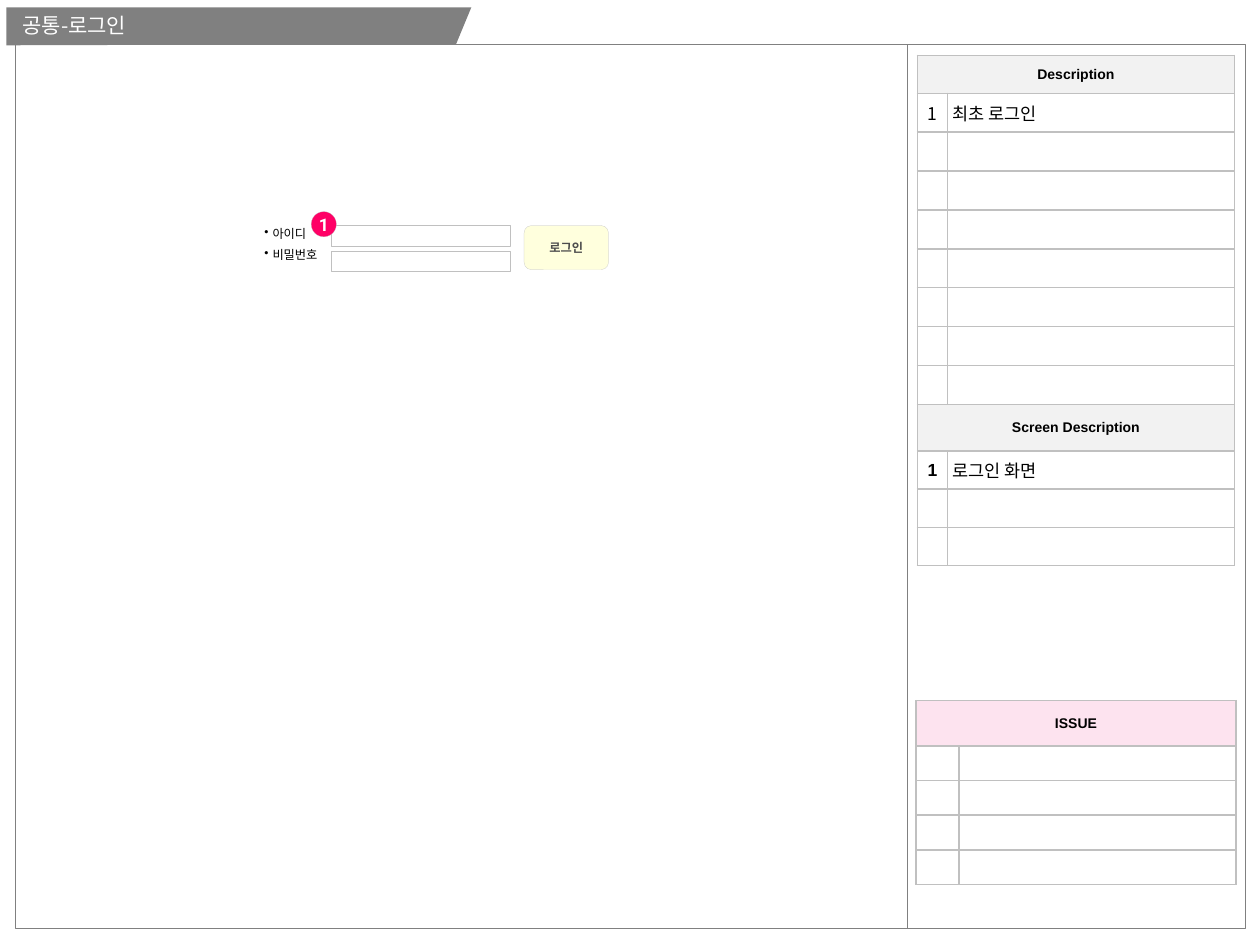
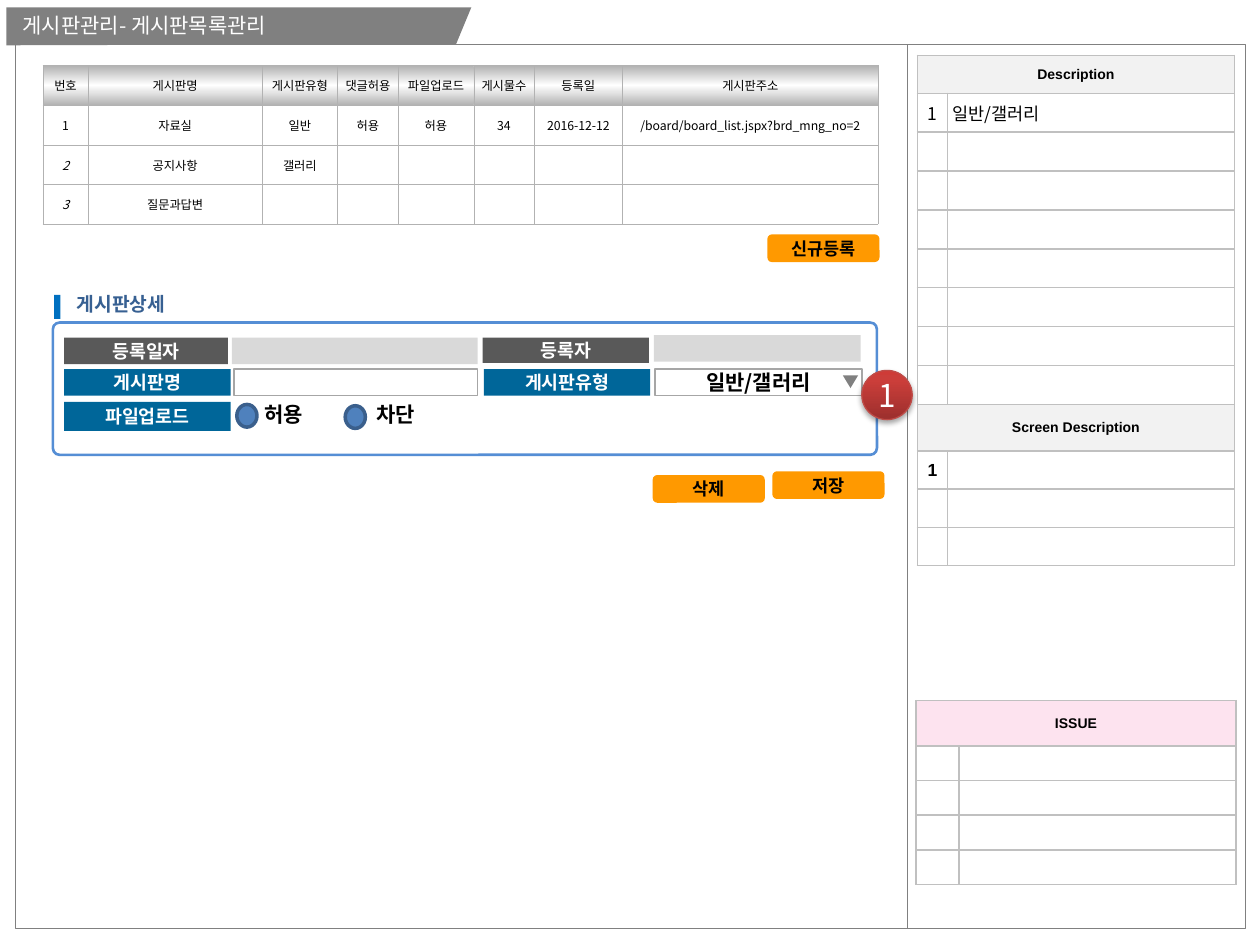
from lxml.etree import SubElement
from pptx import Presentation
from pptx.dml.color import RGBColor
from pptx.enum.shapes import MSO_CONNECTOR as LINK, MSO_SHAPE as SHAPE
from pptx.enum.text import MSO_ANCHOR as ANCHOR, PP_ALIGN as ALIGN
from pptx.oxml.ns import qn
from pptx.util import Inches, Pt

SLIDE_W, SLIDE_H = Inches(10), Inches(7.5)
COLUMNS = 100
UNIT = SLIDE_W / COLUMNS

WHITE, BLACK, GRAY, SILVER = "FFFFFF", "000000", "808080", "C0C0C0"
STEEL, ORANGE, TEAL, CHARCOAL = "B2B2B2", "FF9900", "006699", "595959"
PALE, FIELD_EDGE, LOCKED = "F2F2F2", "A6A6A6", "D9D9D9"
KOREAN = "Noto Sans CJK KR"

HEADING = dict(size=Pt(8), name="Arial", bold=True)
NOTE = dict(size=Pt(10), name=KOREAN)
SMALL = dict(size=Pt(7), name=KOREAN)
TITLE = dict(size=Pt(12), name=KOREAN)
OPTION = dict(TITLE, bold=True)
LABEL = dict(size=Pt(10.5), name=KOREAN, bold=True)
BUTTON = dict(NOTE, bold=True)


def rgb(code):
    return RGBColor.from_string(code)


def grid(*cells):
    return [round(cell * UNIT) for cell in cells]


def write(paragraph, text, font, color=BLACK, align=ALIGN.LEFT):
    paragraph.alignment = align
    run = paragraph.add_run()
    run.text = text
    for name, value in font.items():
        setattr(run.font, name, value)
    run.font.color.rgb = rgb(color)
    SubElement(run.font._element, qn("a:ea"), typeface=font["name"])


def paint(holder, color):
    if color:
        holder.fill.solid()
        holder.fill.fore_color.rgb = rgb(color)
    else:
        holder.fill.background()


def shade(fill, owner, stops, angle):
    fill.gradient()
    stop_list = next(owner.iter(qn("a:gsLst")))
    for stop in list(stop_list):
        stop_list.remove(stop)
    for share, color in stops:
        stop = SubElement(stop_list, qn("a:gs"), pos=str(share * 1000))
        SubElement(stop, qn("a:srgbClr"), val=color)
    next(owner.iter(qn("a:lin"))).set("ang", str(angle * 60000))


def outline(line, edge):
    if edge:
        color, width = edge
        line.color.rgb = rgb(color)
        line.width = Pt(width)
    else:
        line.fill.background()


def block(slide, kind, box, color=None, edge=None, text="", font=LABEL, ink=WHITE):
    shape = slide.shapes.add_shape(kind, *grid(*box))
    shape.shadow.inherit = False
    paint(shape, color)
    outline(shape.line, edge)
    if text:
        frame = shape.text_frame
        settings = dict(margin_left=0, margin_right=0, margin_top=0, margin_bottom=0,
                        word_wrap=False, vertical_anchor=ANCHOR.MIDDLE)
        for name, value in settings.items():
            setattr(frame, name, value)
        write(frame.paragraphs[0], text, font, ink, ALIGN.CENTER)
    return shape


def caption(slide, box, text, font, color=BLACK):
    frame = slide.shapes.add_textbox(*grid(*box)).text_frame
    frame.word_wrap = True
    write(frame.paragraphs[0], text, font, color)


def bullets(slide, box, items, font, gap):
    frame = slide.shapes.add_textbox(*grid(*box)).text_frame
    frame.word_wrap = True
    hang = grid(0.65)[0]
    for number, item in enumerate(items):
        paragraph = frame.add_paragraph() if number else frame.paragraphs[0]
        layout = paragraph._p.get_or_add_pPr()
        layout.set("marL", str(hang))
        layout.set("indent", str(-hang))
        SubElement(layout, qn("a:buChar"), char="•")
        if number:
            paragraph.space_before = gap
        write(paragraph, item, font)


def border(cell, color, width):
    settings = cell._tc.get_or_add_tcPr()
    for side in ("lnL", "lnR", "lnT", "lnB"):
        line = SubElement(settings, qn(f"a:{side}"), w=str(Pt(width)))
        fill = SubElement(line, qn("a:solidFill"))
        SubElement(fill, qn("a:srgbClr"), val=color)


def ruled_table(slide, left, top, cols, rows, edge):
    box = grid(left, top, sum(cols), sum(rows))
    table = slide.shapes.add_table(len(rows), len(cols), *box).table
    table.first_row = table.horz_banding = False
    for column, width in zip(table.columns, grid(*cols)):
        column.width = width
    for row, height in zip(table.rows, grid(*rows)):
        row.height = height
    for cell in table.iter_cells():
        cell.margin_left = cell.margin_right = cell.margin_top = cell.margin_bottom = 0
        cell.vertical_anchor = ANCHOR.MIDDLE
        border(cell, *edge)
        paint(cell, WHITE)
        SubElement(cell.text_frame.paragraphs[0]._p, qn("a:endParaRPr"), sz="800")
    return table


def fill_cell(cell, text, font, align=ALIGN.CENTER):
    write(cell.text_frame.paragraphs[0], text, font, BLACK, align)


def heading_row(table, row, text, color):
    first = table.cell(row, 0)
    first.merge(table.cell(row, 1))
    paint(first, color)
    fill_cell(first, text, HEADING)


def note_row(table, row, text, number_font):
    fill_cell(table.cell(row, 0), "1", number_font)
    if text:
        note = table.cell(row, 1)
        note.margin_left = grid(0.4)[0]
        fill_cell(note, text, NOTE, ALIGN.LEFT)


def sidebar(slide, description, screen):
    edge = (SILVER, 1)
    notes = ruled_table(slide, 72.8, 4.4, [2.4, 22.8],
                        [3] + [3.09] * 8 + [3.7] + [3.03] * 3, edge)
    heading_row(notes, 0, "Description", PALE)
    note_row(notes, 1, description, NOTE)
    heading_row(notes, 9, "Screen Description", PALE)
    note_row(notes, 10, screen, dict(HEADING, size=Pt(10)))
    issues = ruled_table(slide, 72.7, 55.6, [3.4, 22], [3.6] + [2.75] * 4, edge)
    heading_row(issues, 0, "ISSUE", "FDE3EF")


def page(deck, title, description, screen=""):
    slide = deck.slides.add_slide(deck.slide_layouts[6])
    block(slide, SHAPE.RECTANGLE, (1.2, 3.5, 97.6, 70.2), edge=(GRAY, 0.25))
    corners = [grid(*corner) for corner in ((0.5, 0.6), (37.4, 0.6), (36.2, 3.5), (0.5, 3.6))]
    outline_path = slide.shapes.build_freeform(*corners[0], scale=1.0)
    outline_path.add_line_segments(corners[1:], close=True)
    band = outline_path.convert_to_shape()
    band.shadow.inherit = False
    paint(band, GRAY)
    outline(band.line, None)
    divider = slide.shapes.add_connector(LINK.STRAIGHT, *grid(72, 3.6, 72, 73.7))
    outline(divider.line, (GRAY, 0.75))
    SubElement(divider._element.spPr, qn("a:effectLst"))
    caption(slide, (0.8, 0.5, 29.9, 3), title, TITLE, WHITE)
    sidebar(slide, description, screen)
    return slide


def login_form(slide):
    hairline = (SILVER, 0.1)
    for top in (17.9, 19.9):
        block(slide, SHAPE.RECTANGLE, (26.3, top, 14.2, 1.6), WHITE, hairline)
    block(slide, SHAPE.ROUNDED_RECTANGLE, (41.6, 17.9, 6.7, 3.5), "FFFFDD", hairline,
          "로그인", dict(SMALL, bold=True), "4D4D4D")
    bullets(slide, (20, 17.5, 7.2, 4.2), ["아이디", "비밀번호"], SMALL, Pt(3.6))
    block(slide, SHAPE.OVAL, (24.7, 16.8, 2, 2), "FF0066", hairline,
          "1", dict(size=Pt(10), name="Roboto", bold=True))


def board_list(slide):
    records = [
        ["번호", "게시판명", "게시판유형", "댓글허용", "파일업로드", "게시물수", "등록일", "게시판주소"],
        ["1", "자료실", "일반", "허용", "허용", "34", "2016-12-12",
         "/board/board_list.jspx?brd_mng_no=2"],
        ["2", "공지사항", "갤러리"],
        ["3", "질문과답변"],
    ]
    table = ruled_table(slide, 3.4, 5.2, [3.6, 13.8, 6, 4.8, 6, 4.8, 7, 20.3],
                        [3.15] * 4, (STEEL, 0.25))
    for row, record in enumerate(records):
        for column, text in enumerate(record):
            italic = column == 0 and row > 1
            fill_cell(table.cell(row, column), text, dict(SMALL, italic=italic))
    for column in range(len(records[0])):
        header = table.cell(0, column)
        shade(header.fill, header._tc, [(0, STEEL), (50, WHITE), (100, STEEL)], 90)


def callout(slide, box):
    badge = block(slide, SHAPE.OVAL, box, None, ("BF4C48", 0.75), "1",
                  dict(size=Pt(18), name=KOREAN))
    shade(badge.fill, badge._element, [(0, "9C2F2D"), (80, "CB3E3A"), (100, "CE3B37")], 270)
    effects = badge._element.spPr.find(qn("a:effectLst"))
    shadow = SubElement(effects, qn("a:outerShdw"), blurRad=str(Pt(3.1)),
                        dist=str(Pt(1.8)), dir="5400000", rotWithShape="0")
    tint = SubElement(shadow, qn("a:srgbClr"), val=BLACK)
    SubElement(tint, qn("a:alpha"), val="35000")


def board_detail(slide):
    panel = block(slide, SHAPE.ROUNDED_RECTANGLE, (4.2, 25.6, 65.4, 10.5), WHITE, ("558ED5", 1.5))
    panel.adjustments[0] = 0.05
    block(slide, SHAPE.RECTANGLE, (4.3, 23.4, 0.5, 1.9), "0070C0")
    caption(slide, (5.1, 22.7, 12, 2.9), "게시판상세", dict(LABEL, size=Pt(11)), "376092")

    labels = [
        ("등록일자", (5.1, 26.8, 13, 2.1), CHARCOAL),
        ("등록자", (38.3, 26.8, 13.2, 2), CHARCOAL),
        ("게시판명", (5.1, 29.3, 13.2, 2.1), TEAL),
        ("게시판유형", (38.4, 29.3, 13.2, 2.1), TEAL),
        ("파일업로드", (5.1, 31.9, 13.2, 2.3), TEAL),
    ]
    for text, box, color in labels:
        block(slide, SHAPE.RECTANGLE, box, color, text=text)

    for box in ((18.4, 26.8, 19.5, 2.1), (51.9, 26.6, 16.4, 2.1)):
        block(slide, SHAPE.RECTANGLE, box, LOCKED)
    for text, box in (("", (18.6, 29.3, 19.3, 2.1)), ("일반/갤러리", (52, 29.3, 16.4, 2.1))):
        block(slide, SHAPE.RECTANGLE, box, WHITE, (FIELD_EDGE, 1), text, OPTION, BLACK)
    arrow = block(slide, SHAPE.ISOSCELES_TRIANGLE, (66.9, 29.8, 1.2, 1), GRAY)
    arrow.rotation = 180

    for text, dot_left, dot_top, text_left in (("허용", 18.8, 32.1, 20), ("차단", 27.4, 32.2, 28.9)):
        block(slide, SHAPE.OVAL, (dot_left, dot_top, 1.6, 1.8), "4F81BD", ("3A5F8C", 2))
        caption(slide, (text_left, 31.4, 6.6, 3), text, OPTION)
    callout(slide, (68.4, 29.4, 4, 3.9))


def buttons(slide):
    for text, left, top in (("신규등록", 60.9, 18.6), ("삭제", 51.8, 37.7), ("저장", 61.3, 37.4)):
        block(slide, SHAPE.ROUNDED_RECTANGLE, (left, top, 8.9, 2.2), ORANGE,
              text=text, font=BUTTON, ink=BLACK)


def main():
    deck = Presentation()
    deck.slide_width, deck.slide_height = SLIDE_W, SLIDE_H
    login_form(page(deck, "공통-로그인", "최초 로그인", "로그인 화면"))
    boards = page(deck, "게시판관리- 게시판목록관리", "일반/갤러리")
    board_list(boards)
    board_detail(boards)
    buttons(boards)
    deck.save("out.pptx")


if __name__ == "__main__":
    main()
